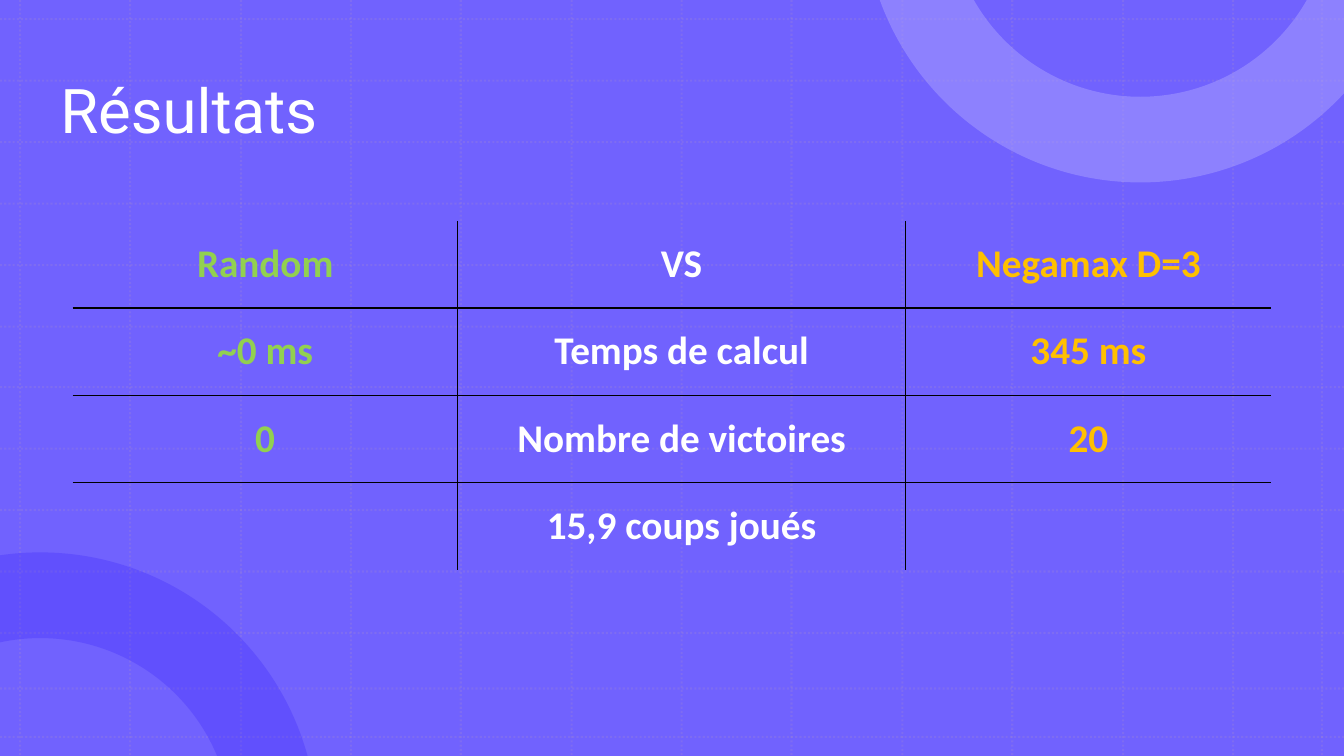
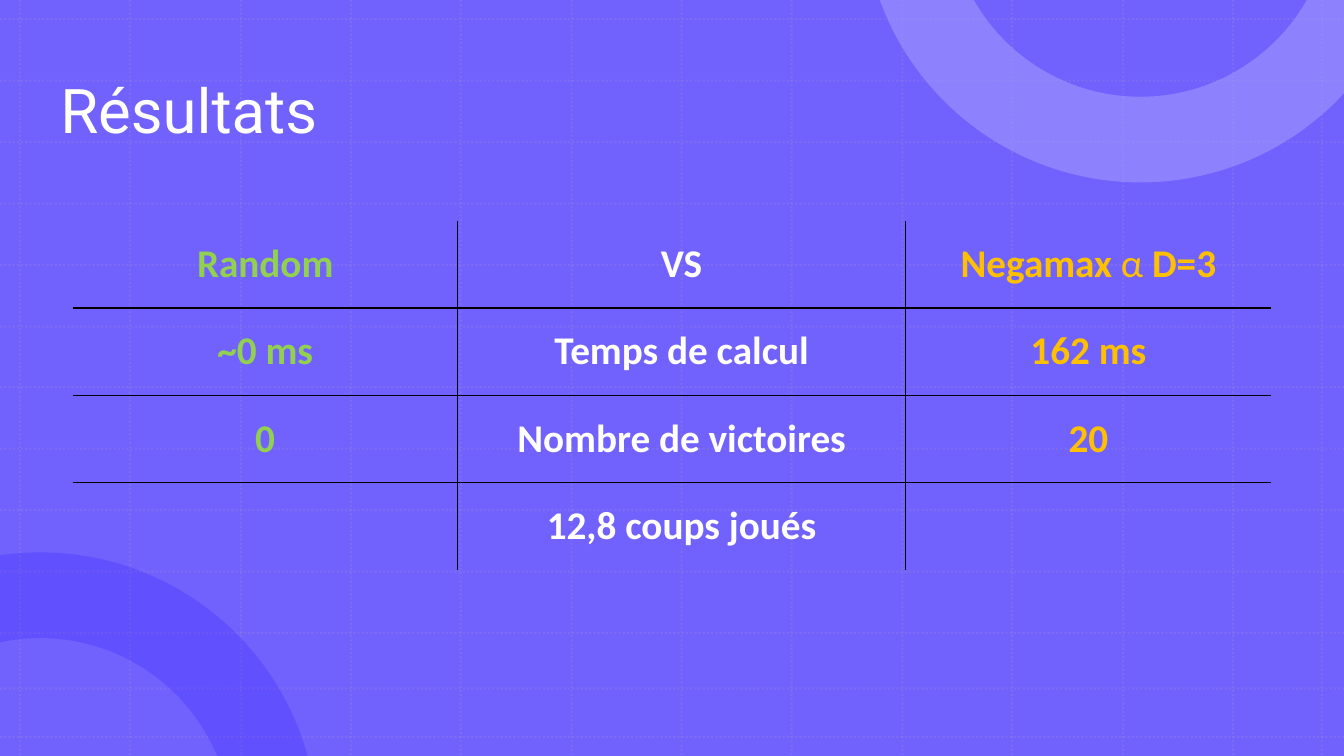
import math
from dataclasses import dataclass

from lxml import etree
from pptx import Presentation
from pptx import util as u
from pptx.dml.color import RGBColor
from pptx.enum import dml, shapes, text
from pptx.oxml import ns

SCALE = 9144
WIDTH, HEIGHT = 1333, 750
COLUMNS = (382, 444, 363)


@dataclass(frozen=True)
class Theme:
    """Colours, fonts and type sizes shared by the slides."""

    back: str = "7162FE"
    grid: str = "B495C2"
    dark_ring: str = "220BFD"
    light_ring: str = "AAA1FE"
    white: str = "FFFFFF"
    green: str = "92D050"
    amber: str = "FFC000"
    rule: str = "000000"
    heading: str = "Roboto"
    body: str = "Calibri"
    title_size: int = 44
    cell_size: int = 28
    grid_width: float = 1.5
    rule_width: float = 1


THEME = Theme()


def px(length):
    """Turn a length in px into EMU."""
    return u.Emu(round(length * SCALE))


def rgb(code):
    """Turn a hex code into a colour."""
    return RGBColor.from_string(code)


def fade(element, percent):
    """Give every colour in an element the same opacity."""
    for color in list(element.iter(ns.qn("a:srgbClr"))):
        etree.SubElement(color, ns.qn("a:alpha"), val=str(percent * 1000))


def paint(shape, color):
    """Fill a shape with one colour, without line or shadow."""
    shape.shadow.inherit = False
    shape.fill.solid()
    shape.fill.fore_color.rgb = rgb(color)
    shape.line.fill.background()


def add_span(para, words, color, **formats):
    """Add a run of text with its font format."""
    span = para.add_run()
    span.text = words
    span.font.color.rgb = rgb(color)
    for name, value in formats.items():
        setattr(span.font, name, value)


def add_backdrop(page):
    """Cover the page with its ground colour."""
    backdrop = page.shapes.add_shape(
        shapes.MSO_SHAPE.RECTANGLE, *map(px, (0, 0, WIDTH, HEIGHT)))
    paint(backdrop, THEME.back)


def add_grid_line(page, start, end):
    """Draw one faint dotted line."""
    line = page.shapes.add_connector(
        shapes.MSO_CONNECTOR.STRAIGHT, *map(px, (*start, *end)))
    line.line.color.rgb = rgb(THEME.grid)
    line.line.width = u.Pt(THEME.grid_width)
    line.line.dash_style = dml.MSO_LINE.ROUND_DOT
    properties = line._element.spPr
    fade(properties, 20)
    etree.SubElement(properties, ns.qn("a:effectLst"))


def add_grid(page):
    """Draw the dotted grid over the whole page."""
    for x in [round(20 + 109.35 * step) for step in range(12)] + [1311]:
        add_grid_line(page, (x, 0), (x, HEIGHT))
    for y in [round(19 + 60.9 * step) for step in range(11)] + [683, 731]:
        add_grid_line(page, (0, y), (WIDTH, y))


def arc(center, radius, edge):
    """List the Bezier points of the arc seen on the page, left to right."""
    center_x, center_y = center
    depth = edge - center_y
    side = math.copysign(1, depth)
    reach = math.sqrt(1 - (depth / radius) ** 2)
    left = math.acos(max(-reach, -center_x / radius))
    right = math.acos(min(reach, (WIDTH - center_x) / radius))

    def place(angle, pull=0):
        """Find a point on the circle, pulled along its tangent."""
        along = math.cos(angle) - pull * math.sin(angle)
        across = math.sin(angle) + pull * math.cos(angle)
        return px(center_x + radius * along), px(center_y + side * radius * across)

    points = [place(left)]
    for start, end in ((left, math.pi / 2), (math.pi / 2, right)):
        pull = 4 / 3 * math.tan((end - start) / 4)
        points += [place(start, pull), place(end, -pull), place(end)]
    return points


def bend(lines):
    """Join each three line segments into one Bezier curve."""
    for first in range(0, len(lines), 3):
        group = lines[first:first + 3]
        curve = etree.Element(ns.qn("a:cubicBezTo"))
        group[0].addprevious(curve)
        for line in group:
            curve.append(line[0])
            line.getparent().remove(line)


def add_ring(page, center, edge, color, opacity, corners=()):
    """Draw a ring cut off by the page edges."""
    outer, inner = (arc(center, radius, edge) for radius in (275, 190))
    outline = outer + [tuple(map(px, corner)) for corner in corners] + inner[::-1]
    builder = page.shapes.build_freeform(*outline[0], scale=1.0)
    builder.add_line_segments(outline[1:], close=True)
    ring = builder.convert_to_shape()
    lines = list(ring._element.iter(ns.qn("a:lnTo")))
    bend(lines[:6])
    bend(lines[-6:])
    paint(ring, color)
    fade(ring._element.spPr, opacity)


def add_title(page, words):
    """Write the page title."""
    box = page.shapes.add_textbox(*map(px, (50, 40, 1173, 145)))
    box.text_frame.word_wrap = True
    box.text_frame.vertical_anchor = text.MSO_ANCHOR.MIDDLE
    para = box.text_frame.paragraphs[0]
    para.line_spacing = 0.9
    add_span(para, words, THEME.white, name=THEME.heading, size=u.Pt(THEME.title_size))


def set_borders(cell, visible):
    """Rule the visible sides of a cell and clear the others."""
    properties = cell._tc.get_or_add_tcPr()
    for side, shown in visible.items():
        line = etree.SubElement(properties, ns.qn(f"a:ln{side}"),
                                w=str(u.Pt(THEME.rule_width)))
        if shown:
            fill = etree.SubElement(line, ns.qn("a:solidFill"))
            etree.SubElement(fill, ns.qn("a:srgbClr"), val=THEME.rule)
        else:
            etree.SubElement(line, ns.qn("a:noFill"))


def add_results(page, rows):
    """Build the comparison table, ruled on the inside only."""
    frame = page.shapes.add_table(
        len(rows), len(COLUMNS), *map(px, (72, 219, sum(COLUMNS), 346)))
    table = frame.table
    table.first_row = table.horz_banding = False
    for column, width in zip(table.columns, COLUMNS):
        column.width = px(width)
    colors = (THEME.green, THEME.white, THEME.amber)
    for i, row in enumerate(rows):
        for j, (spans, color) in enumerate(zip(row, colors)):
            cell = table.cell(i, j)
            set_borders(cell, {"L": j > 0, "R": j < len(COLUMNS) - 1,
                               "T": i > 0, "B": i < len(rows) - 1})
            cell.fill.background()
            cell.vertical_anchor = text.MSO_ANCHOR.MIDDLE
            para = cell.text_frame.paragraphs[0]
            para.alignment = text.PP_ALIGN.CENTER
            for words in spans:
                add_span(para, words, color, name=THEME.body,
                         size=u.Pt(THEME.cell_size), bold=words != "α ")


def add_page(deck, opponent, duration, moves):
    """Add a page of results against one opponent."""
    page = deck.slides.add_slide(deck.slide_layouts[6])
    add_backdrop(page)
    add_grid(page)
    add_ring(page, (40, 823), HEIGHT, THEME.dark_ring, 20)
    add_ring(page, (1131, -94), 0, THEME.light_ring, 50, corners=[(WIDTH, 0)])
    add_title(page, "Résultats")
    add_results(page, [
        (["Random"], ["VS"], opponent),
        (["~0 ms"], ["Temps de calcul"], [duration]),
        (["0"], ["Nombre de victoires"], ["20"]),
        ([], [f"{moves} coups joués"], []),
    ])


def main():
    """Build and save the deck."""
    deck = Presentation()
    deck.slide_width, deck.slide_height = px(WIDTH), px(HEIGHT)
    add_page(deck, ["Negamax D=3"], "345 ms", "15,9")
    add_page(deck, ["Negamax ", "α ", "D=3"], "162 ms", "12,8")
    deck.save("out.pptx")


if __name__ == "__main__":
    main()
